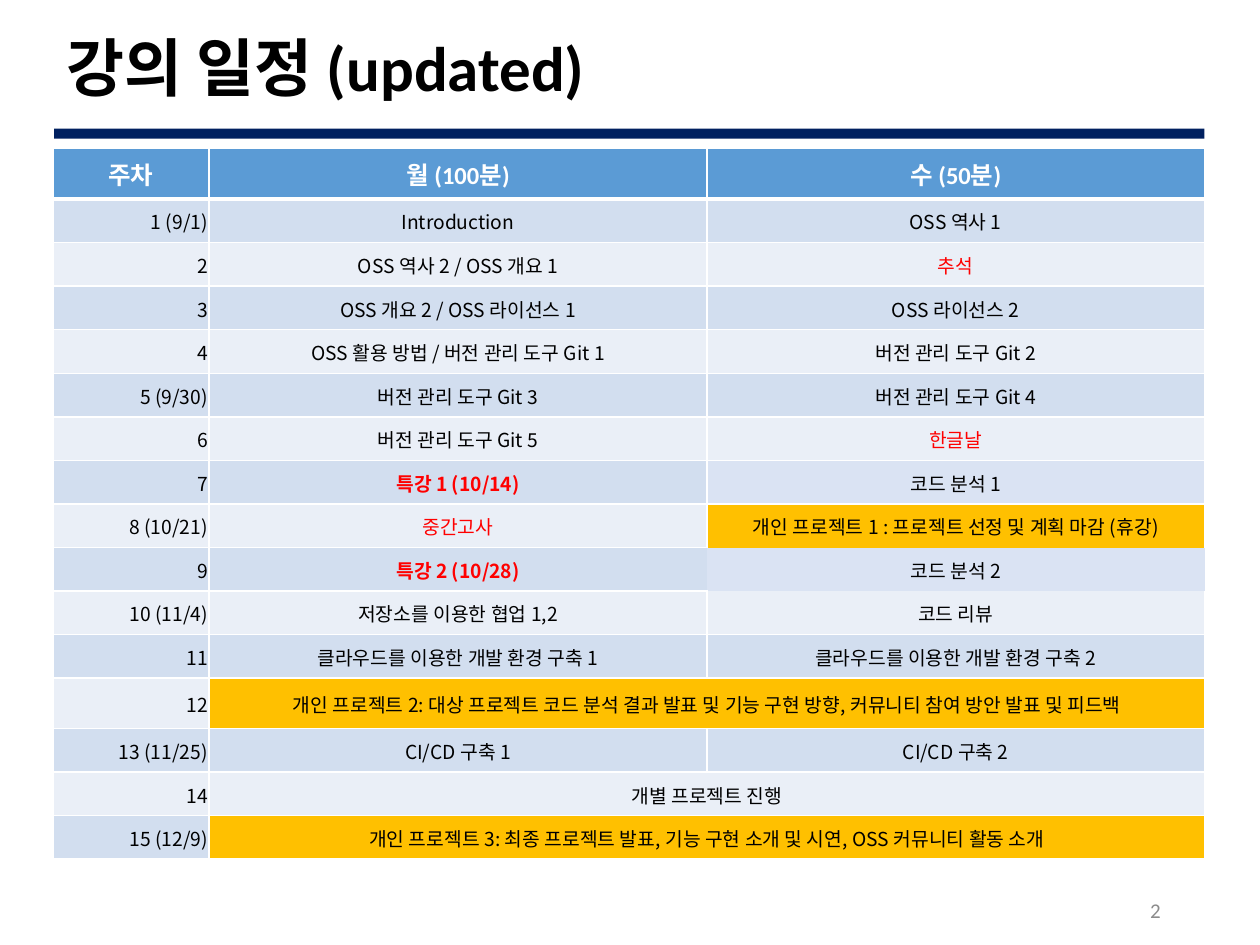
from lxml.etree import SubElement
from pptx import Presentation
from pptx.dml.color import RGBColor
from pptx.enum.shapes import MSO_SHAPE
from pptx.enum.text import MSO_ANCHOR, PP_ALIGN
from pptx.oxml.ns import qn
from pptx.util import Inches, Pt

HEAD = ("주차", "월 (100분)", "수 (50분)")
# Week, Monday, Wednesday; None joins Wednesday to Monday.
WEEKS = [
    ("1 (9/1)", "Introduction", "OSS 역사 1"),
    ("2", "OSS 역사 2 / OSS 개요 1", "추석"),
    ("3", "OSS 개요 2 / OSS 라이선스 1", "OSS 라이선스 2"),
    ("4", "OSS 활용 방법 / 버전 관리 도구 Git 1", "버전 관리 도구 Git 2"),
    ("5 (9/30)", "버전 관리 도구 Git 3", "버전 관리 도구 Git 4"),
    ("6", "버전 관리 도구 Git 5", "한글날"),
    ("7", "특강 1 (10/14)", "코드 분석 1"),
    ("8 (10/21)", "중간고사", "개인 프로젝트 1 : 프로젝트 선정 및 계획 마감 (휴강)"),
    ("9", "특강 2 (10/28)", "코드 분석 2"),
    ("10 (11/4)", "저장소를 이용한 협업 1,2", "코드 리뷰"),
    ("11", "클라우드를 이용한 개발 환경 구축 1", "클라우드를 이용한 개발 환경 구축 2"),
    ("12", "개인 프로젝트 2: 대상 프로젝트 코드 분석 결과 발표 및 기능 구현 방향, "
           "커뮤니티 참여 방안 발표 및 피드백", None),
    ("13 (11/25)", "CI/CD 구축 1", "CI/CD 구축 2"),
    ("14", "개별 프로젝트 진행", None),
    ("15 (12/9)", "개인 프로젝트 3: 최종 프로젝트 발표, 기능 구현 소개 및 시연, "
                  "OSS 커뮤니티 활동 소개", None),
]
BREAKS = ("추석", "한글날", "중간고사")
TALK, TASK, STUDY = "특강", "개인 프로젝트", "코드 분석"
BARE = (9, 2)  # the cell without borders
TALL = (0, 12)  # the higher rows

THEME = {
    "sans": "Calibri", "body": "Noto Sans CJK KR",
    "title": 36, "head": 14, "cell": 11, "page": 12,
    "black": "000000", "white": "FFFFFF", "red": "FF0000", "gray": "8C8C8C",
    "navy": "002060", "blue": "5B9BD5", "gold": "FFC000", "pale": "DAE3F3",
    "bands": ("D2DEEF", "EAEFF7"),
}
LEFT, TOP, WIDTH, HEIGHT = 0.42, 1.18, 9.14, 5.64
COLS = (1.24, 3.95, 3.95)
HIGH = 0.4
SIDES = {"L": (0, -1), "R": (0, 1), "T": (-1, 0), "B": (1, 0)}


def tint(name):
    return RGBColor.from_string(THEME.get(name, name))


def write(frame, text, size="cell", face="body", color="black", bold=False,
          align=PP_ALIGN.CENTER, line=None):
    para = frame.paragraphs[0]
    para.alignment = align
    if line:
        para.line_spacing = line
    run = para.add_run()
    run.text = text
    font = run.font
    font.size, font.bold, font.name = Pt(THEME[size]), bold, THEME[face]
    font.color.rgb = tint(color)
    SubElement(run._r.get_or_add_rPr(), qn("a:ea"), typeface=THEME["body"])


def label(slide, box, text, **style):
    frame = slide.shapes.add_textbox(*map(Inches, box)).text_frame
    frame.word_wrap = True
    frame.vertical_anchor = MSO_ANCHOR.MIDDLE
    write(frame, text, **style)


def edge(cell, row, col):
    """Draw white borders, leaving out those that touch the bare cell."""
    props = cell._tc.get_or_add_tcPr()
    for side, (down, across) in SIDES.items():
        thick = (row, side) in ((0, "B"), (1, "T"))
        line = SubElement(props, qn("a:ln" + side), w=str(Pt(3 if thick else 1)))
        if BARE in ((row, col), (row + down, col + across)):
            SubElement(line, qn("a:noFill"))
        else:
            fill = SubElement(line, qn("a:solidFill"))
            SubElement(fill, qn("a:srgbClr"), val=THEME["white"])


def look(text, row, col):
    """Return the fill and the text format of one cell."""
    if row == 0:
        return "blue", dict(size="head", face="sans", color="white", bold=True)
    fill = THEME["bands"][(row - 1) % 2]
    if col == 0:
        return fill, dict(align=PP_ALIGN.RIGHT)
    if text.startswith(TASK):
        fill = "gold"
    elif text.startswith(STUDY):
        fill = "pale"
    talk = text.startswith(TALK)
    return fill, dict(color="red" if talk or text in BREAKS else "black", bold=talk)


def plan(slide):
    rows = [HEAD] + WEEKS
    low = (HEIGHT - HIGH * len(TALL)) / (len(rows) - len(TALL))
    box = map(Inches, (LEFT, TOP, WIDTH, HEIGHT))
    table = slide.shapes.add_table(len(rows), len(COLS), *box).table
    for col, width in zip(table.columns, COLS):
        col.width = Inches(width)
    for r, texts in enumerate(rows):
        table.rows[r].height = Inches(HIGH if r in TALL else low)
        if texts[2] is None:
            table.cell(r, 1).merge(table.cell(r, 2))
        for c, text in enumerate(texts):
            cell = table.cell(r, c)
            fill, style = look(text or texts[1], r, c)
            edge(cell, r, c)
            cell.fill.solid()
            cell.fill.fore_color.rgb = tint(fill)
            cell.vertical_anchor = MSO_ANCHOR.MIDDLE
            if r:
                cell.margin_left = cell.margin_right = cell.margin_top = Inches(0.01)
                cell.margin_bottom = 0
            if text:
                write(cell.text_frame, text, **style)


def main():
    deck = Presentation()
    deck.slide_width, deck.slide_height = Inches(10), Inches(7.5)
    slide = deck.slides.add_slide(deck.slide_layouts[6])
    rule = slide.shapes.add_shape(
        MSO_SHAPE.RECTANGLE, *map(Inches, (0.43, 1.02, 9.13, 0.08)))
    rule.shadow.inherit = False
    rule.fill.solid()
    rule.fill.fore_color.rgb = tint("navy")
    rule.line.fill.background()
    label(slide, (0.43, 0.18, 9.13, 0.77), "강의 일정 (updated)", size="title",
          face="sans", bold=True, align=PP_ALIGN.LEFT, line=0.9)
    plan(slide)
    label(slide, (7.06, 7.05, 2.25, 0.35), "2", size="page", face="sans",
          color="gray", align=PP_ALIGN.RIGHT)
    deck.save("out.pptx")


if __name__ == "__main__":
    main()
